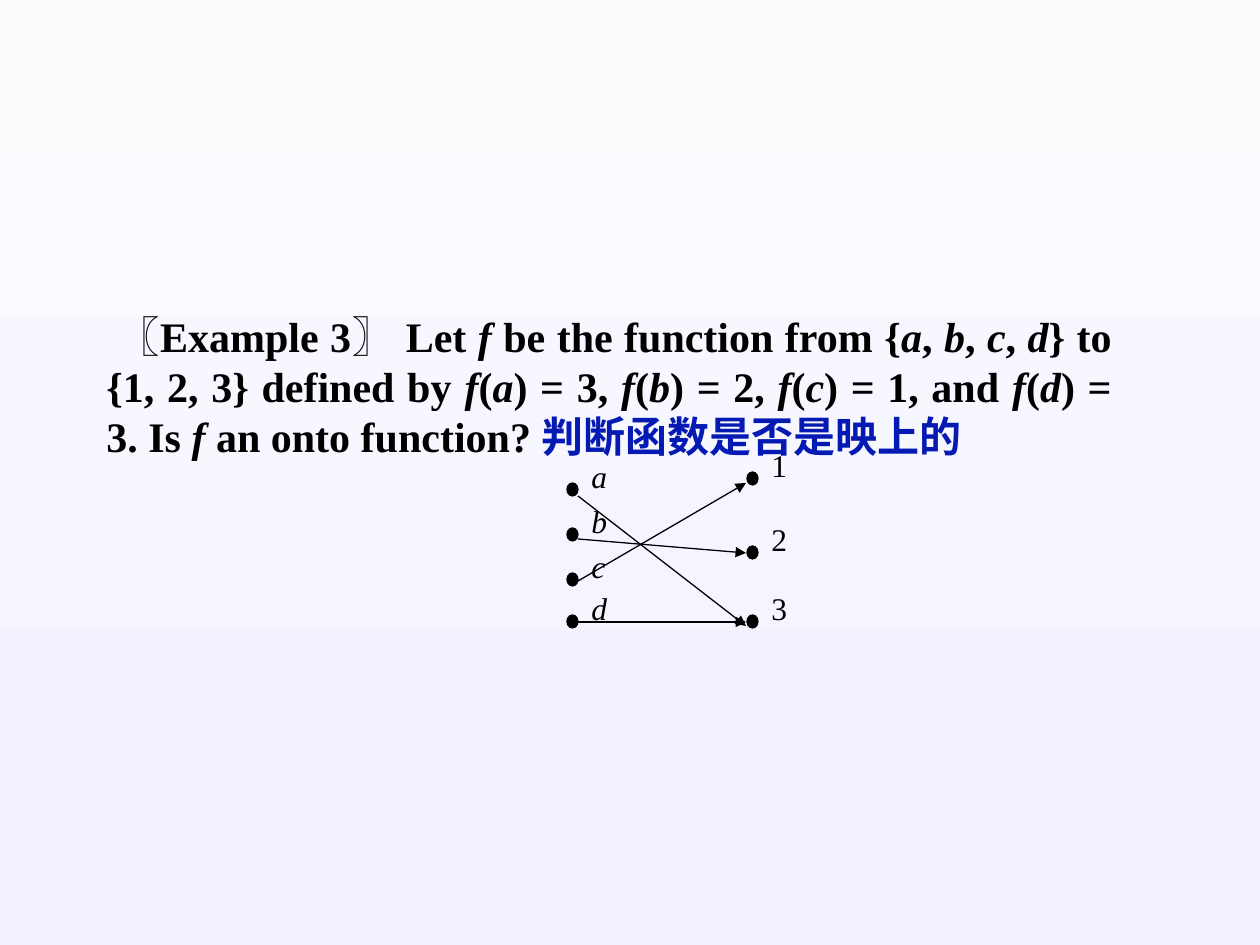
"""Build the onto-function example slide with its mapping diagram."""
from lxml import etree
from pptx import Presentation
from pptx.dml.color import RGBColor
from pptx.enum.shapes import MSO_CONNECTOR as Connector, MSO_SHAPE as Shape
from pptx.enum.text import PP_ALIGN as Align
from pptx.oxml.ns import qn
from pptx.util import Emu, Pt

PX = 914400 / 126
SERIF, CJK = "Times New Roman", "Noto Sans CJK SC"


def px(*lengths):
    return [Emu(round(length * PX)) for length in lengths]


def add_run(paragraph, text, size=24, font=SERIF, color="000000", bold=False, italic=False):
    run = paragraph.add_run()
    run.text = text
    run.font.size, run.font.name = Pt(size), font
    run.font.bold, run.font.italic = bold, italic
    run.font.color.rgb = RGBColor.from_string(color)
    etree.SubElement(run.font._element, qn("a:ea"), typeface=CJK)


presentation = Presentation()
presentation.slide_width, presentation.slide_height = px(1260, 945)
slide = presentation.slides.add_slide(presentation.slide_layouts[6])

background = slide.background.fill
background.gradient()
background.gradient_angle = 270
for stop, color in zip(background.gradient_stops, ("FCFCFF", "F0F0FF")):
    stop.color.rgb = RGBColor.from_string(color)

example = slide.shapes.add_textbox(*px(94, 304, 1030, 164)).text_frame
example.word_wrap = True
paragraph = example.paragraphs[0]
paragraph.alignment = Align.JUSTIFY
add_run(paragraph, " ", size=22, bold=True)
add_run(paragraph, "〖", font=CJK, bold=True)
add_run(paragraph, "Example 3", bold=True)
add_run(paragraph, "〗 ", font=CJK, bold=True)
question = (
    "Let *f* be the function from {*a*, *b*, *c*, *d*} to {1, 2, 3} defined by "
    "*f*(*a*) = 3, *f*(*b*) = 2, *f*(*c*) = 1, and *f*(*d*) = 3. "
    "Is *f* an onto function? "
)
for index, part in enumerate(question.split("*")):
    add_run(paragraph, part, bold=True, italic=index % 2 == 1)
add_run(paragraph, "判断函数是否是映上的", color="051AB3", bold=True)

diagram = slide.shapes.add_group_shape().shapes
domain = [("a", 483), ("b", 528), ("c", 573), ("d", 615)]
codomain = [("1", 472), ("2", 546), ("3", 615)]
for left, elements in ((567, domain), (747, codomain)):
    for name, top in elements:
        dot = diagram.add_shape(Shape.OVAL, *px(left, top, 11, 13))
        dot.shadow.inherit = False
        dot.fill.solid()
        dot.fill.fore_color.rgb = RGBColor.from_string("000000")
        dot.line.color.rgb = RGBColor.from_string("000000")
        dot.line.width = Pt(0.75)
        label = diagram.add_textbox(*px(left + 12, top - 32, 60, 50)).text_frame
        label.word_wrap = True
        add_run(label.paragraphs[0], name, size=18, italic=name.isalpha())

for start, end in ((496, 626), (539, 553), (581, 483), (622, 622)):
    arrow = diagram.add_connector(Connector.STRAIGHT, *px(578, start, 746, end))
    arrow.line.color.rgb = RGBColor.from_string("000000")
    arrow.line.width = Pt(0.75)
    etree.SubElement(arrow.line._get_or_add_ln(), qn("a:tailEnd"), type="triangle")
    etree.SubElement(arrow._element.spPr, qn("a:effectLst"))

presentation.save("out.pptx")
